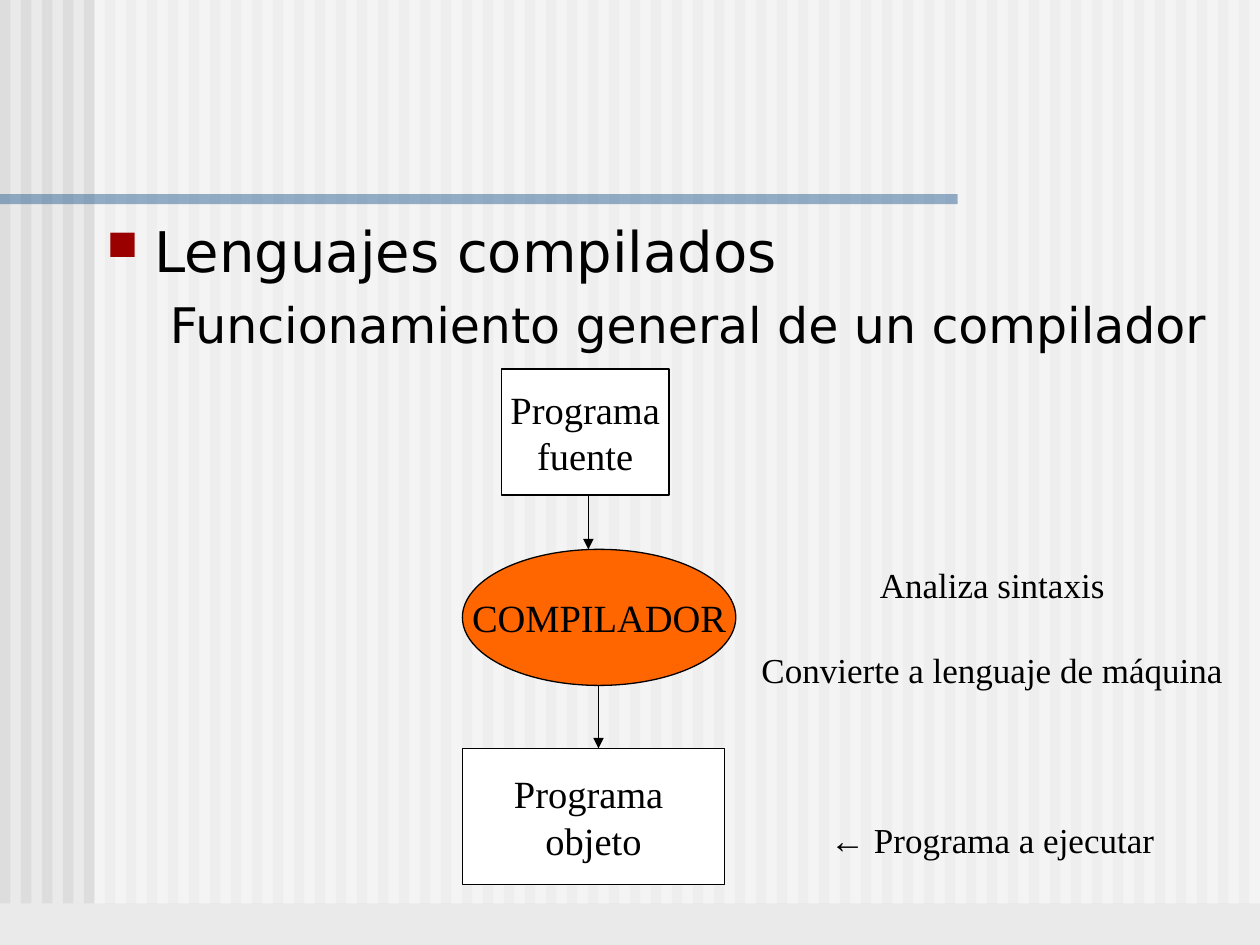
from lxml.etree import SubElement
from pptx import Presentation
from pptx.dml.color import RGBColor
from pptx.enum.shapes import MSO_CONNECTOR, MSO_SHAPE
from pptx.enum.text import MSO_ANCHOR, PP_ALIGN
from pptx.oxml import parse_xml
from pptx.oxml.ns import nsdecls, qn
from pptx.util import Inches, Pt

BACKGROUND = RGBColor(0xEA, 0xEA, 0xEA)
STRIPE = RGBColor(0xDD, 0xDD, 0xDD)
WHITE = RGBColor(0xFF, 0xFF, 0xFF)
BLACK = RGBColor(0, 0, 0)
BLUE = RGBColor(0x33, 0x66, 0x99)
ORANGE = RGBColor(0xFF, 0x66, 0x00)
BULLET_COLOR = "9A0000"

WIDTH, HEIGHT = 10, 7.5
STRIPE_COUNT = 60
STRIPE_PITCH = WIDTH / STRIPE_COUNT
BAND_HEIGHT = 7.17
SANS, SERIF = "DejaVu Sans", "Times New Roman"

HEADINGS = [
    ("Lenguajes compilados", 32, 2, 0.38, -0.38),
    ("Funcionamiento general de un compilador", 28, 6, 0.5, 0),
]
STEPS = [
    (MSO_SHAPE.RECTANGLE, (3.98, 2.93, 1.33, 1), WHITE, ["Programa", "fuente"]),
    (MSO_SHAPE.RECTANGLE, (3.67, 5.94, 2.08, 1.08), WHITE, ["Programa ", "objeto"]),
    (MSO_SHAPE.OVAL, (3.67, 4.36, 2.17, 1.08), ORANGE, ["COMPILADOR"]),
]
ARROWS = [(4.67, 3.94, 4.36), (4.75, 5.44, 5.94)]
NOTES = [
    ("Analiza sintaxis", 0),
    ("Convierte a lenguaje de máquina", 25),
    ("← Programa a ejecutar", 73),
]


def add_block(slide, kind, box, fill, alpha=None):
    shape = slide.shapes.add_shape(kind, *map(Inches, box))
    shape.shadow.inherit = False
    shape.fill.solid()
    shape.fill.fore_color.rgb = fill
    shape.line.fill.background()
    if alpha:
        color = shape.fill._xPr.find(qn("a:solidFill"))[0]
        SubElement(color, qn("a:alpha"), val=str(alpha * 1000))
    return shape


def add_text_box(slide, box, wrap):
    frame = slide.shapes.add_textbox(*map(Inches, box)).text_frame
    frame.word_wrap = wrap
    return frame


def write_paragraph(frame, index, text, size, font, **formats):
    paragraph = frame.add_paragraph() if index else frame.paragraphs[0]
    run = paragraph.add_run()
    run.text = text
    run.font.color.rgb = BLACK
    for name, value in {"size": Pt(size), "name": font}.items():
        setattr(run.font, name, value)
    for name, value in formats.items():
        setattr(paragraph, name, value)
    return paragraph


def add_background(slide):
    slide.background.fill.solid()
    slide.background.fill.fore_color.rgb = BACKGROUND
    for column in range(STRIPE_COUNT):
        box = (column * STRIPE_PITCH, 0, STRIPE_PITCH / 2, BAND_HEIGHT)
        add_block(slide, MSO_SHAPE.RECTANGLE, box, STRIPE)
    add_block(slide, MSO_SHAPE.RECTANGLE, (0.75, 0, WIDTH - 0.75, BAND_HEIGHT), WHITE, 50)
    add_block(slide, MSO_SHAPE.RECTANGLE, (0, 1.54, 7.6, 0.08), BLUE, 50)


def add_headings(slide):
    frame = add_text_box(slide, (0.75, 1.67, 9.04, 1.2), True)
    for index, (text, size, before, margin, indent) in enumerate(HEADINGS):
        paragraph = write_paragraph(frame, index, text, size, SANS, space_before=Pt(before))
        properties = paragraph._p.get_or_add_pPr()
        properties.set("marL", str(Inches(margin)))
        properties.set("indent", str(Inches(indent)))
        if indent:
            color = SubElement(properties, qn("a:buClr"))
            SubElement(color, qn("a:srgbClr"), val=BULLET_COLOR)
            SubElement(properties, qn("a:buSzPct"), val="75000")
            SubElement(properties, qn("a:buChar"), char="■")


def add_step(slide, kind, box, fill, lines):
    shape = add_block(slide, kind, box, fill)
    shape.line.color.rgb = BLACK
    shape.line.width = Pt(0.75)
    frame = shape.text_frame
    frame.word_wrap = False
    frame.vertical_anchor = MSO_ANCHOR.MIDDLE
    for index, text in enumerate(lines):
        write_paragraph(frame, index, text, 22, SERIF, alignment=PP_ALIGN.CENTER)


def add_arrow(slide, x, top, bottom):
    ends = map(Inches, (x, top, x, bottom))
    arrow = slide.shapes.add_connector(MSO_CONNECTOR.STRAIGHT, *ends)
    arrow.line.color.rgb = BLACK
    arrow.line.width = Pt(0.75)
    arrow.line._get_or_add_ln().append(
        parse_xml(f'<a:tailEnd {nsdecls("a")} type="triangle"/>'))
    SubElement(arrow._element.spPr, qn("a:effectLst"))


def main():
    presentation = Presentation()
    presentation.slide_width = Inches(WIDTH)
    presentation.slide_height = Inches(HEIGHT)
    slide = presentation.slides.add_slide(presentation.slide_layouts[6])
    add_background(slide)
    add_headings(slide)
    for step in STEPS:
        add_step(slide, *step)
    for arrow in ARROWS:
        add_arrow(slide, *arrow)
    frame = add_text_box(slide, (5.9, 4.42, 3.95, 2.83), False)
    for index, (text, before) in enumerate(NOTES):
        write_paragraph(frame, index, text, 20, SERIF,
                        alignment=PP_ALIGN.CENTER, space_before=Pt(before))
    presentation.save("out.pptx")


if __name__ == "__main__":
    main()
